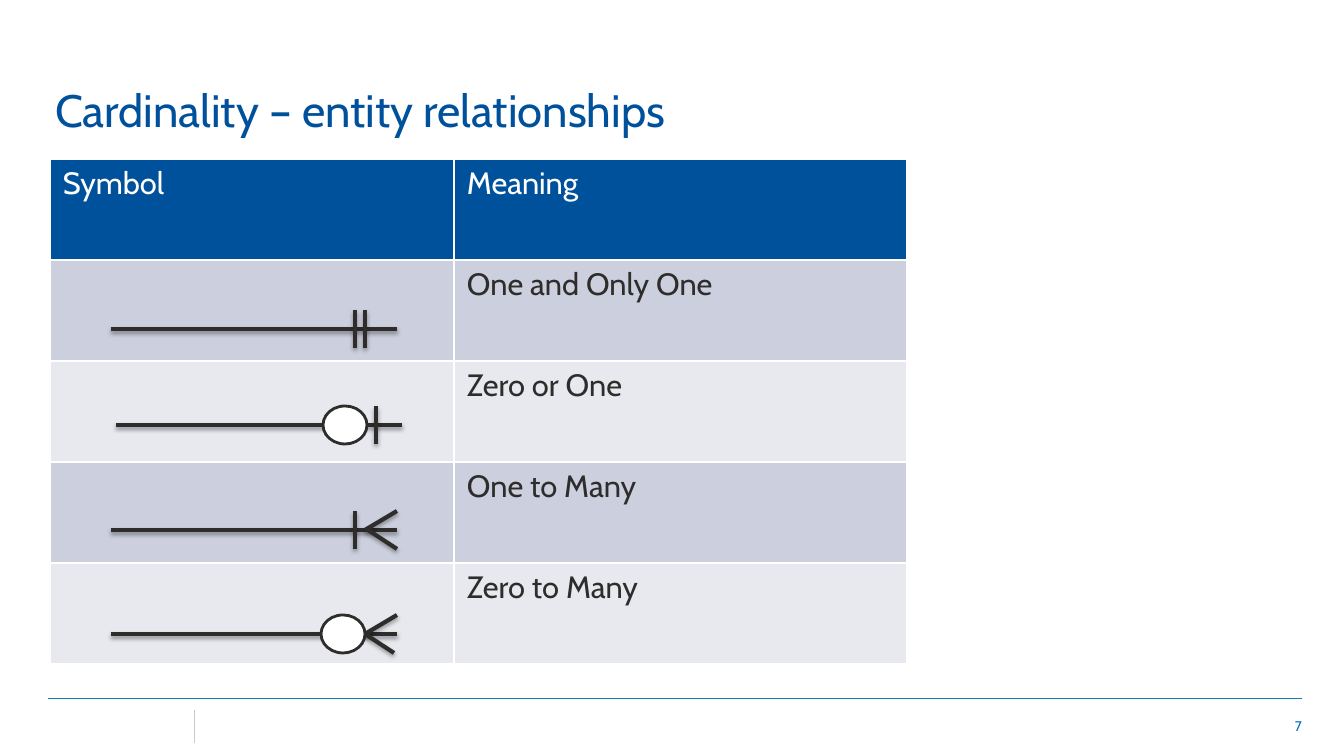
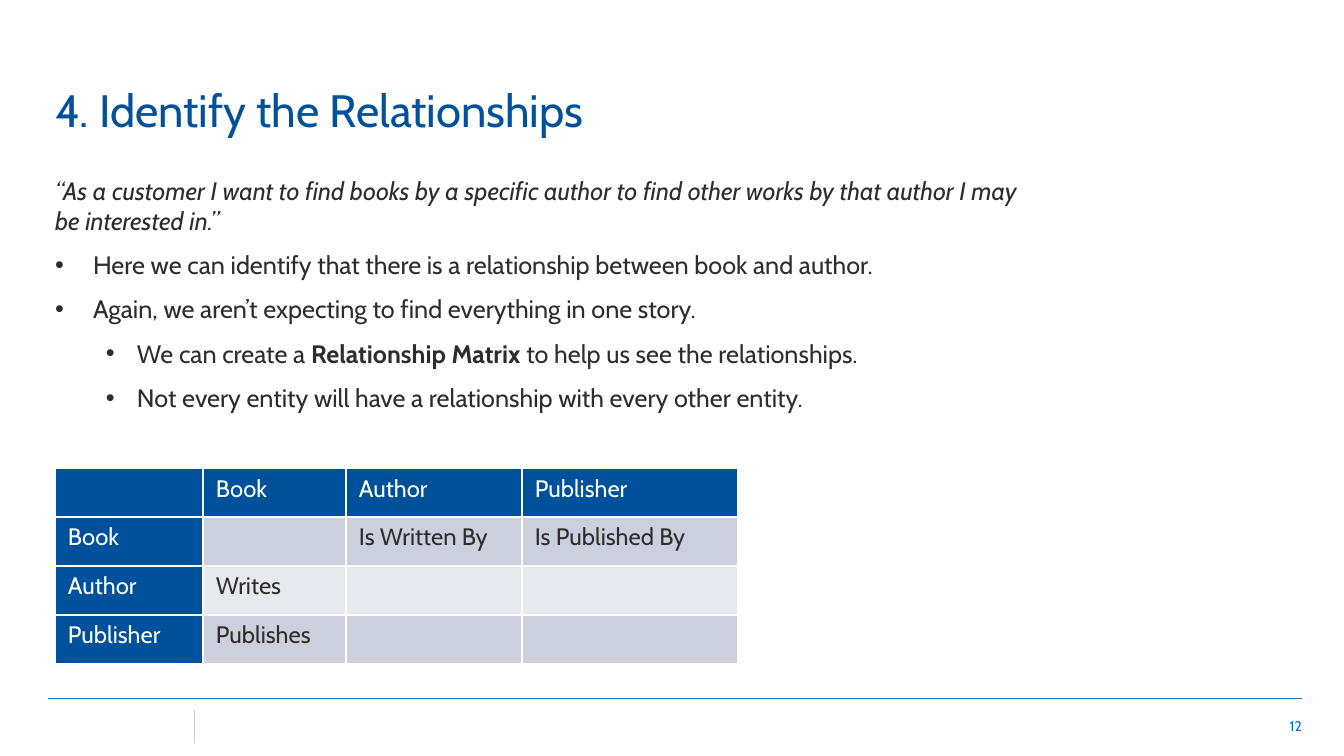
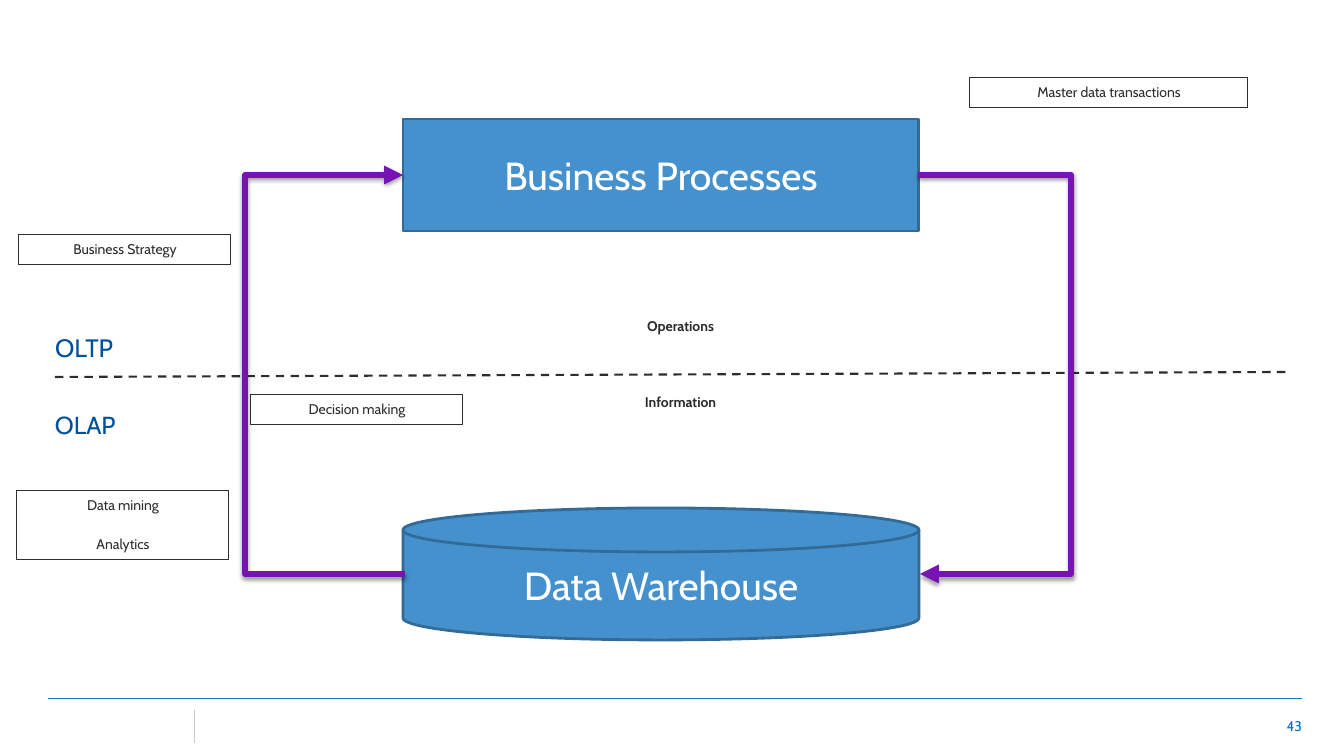
from lxml.etree import SubElement as Sub
from pptx import Presentation
from pptx.dml.color import RGBColor
from pptx.enum.dml import MSO_LINE as Dash
from pptx.enum.shapes import MSO_CONNECTOR as Link, MSO_SHAPE as Kind
from pptx.enum.text import MSO_ANCHOR as Anchor, MSO_AUTO_SIZE as Fit, PP_ALIGN as Align
from pptx.oxml.ns import qn
from pptx.util import Emu, Pt

FONT = "Cabin"
NAVY = RGBColor(0x00, 0x51, 0x9C)
BLUE = RGBColor(0x45, 0x91, 0xCE)
EDGE = RGBColor(0x33, 0x6B, 0x98)
RULE = RGBColor(0x1C, 0x78, 0xB0)
PAGE = RGBColor(0x00, 0x70, 0xC0)
GREY = RGBColor(0xCC, 0xCA, 0xC9)
INK = RGBColor(0x2E, 0x2D, 0x2C)
WHITE = RGBColor(0xFF, 0xFF, 0xFF)
BAND = RGBColor(0xCC, 0xD0, 0xDE)
PALE = RGBColor(0xE7, 0xE9, 0xEF)
PURPLE = RGBColor(0x77, 0x13, 0xB2)

TITLE = (45, 72, 1006, 70)
WIDE = (10, 5)
CELL = (13, 6)


def px(n):
    return Emu(round(n * 914400 / 100.8))


def place(shape, box):
    shape.left, shape.top, shape.width, shape.height = map(px, box)


def style(par, size, color, bold=False, align=Align.LEFT):
    par.alignment = align
    font = par.font
    font.name, font.size, font.bold = FONT, Pt(size), bold
    font.color.rgb = color


def setup(frame, inset=CELL, anchor=Anchor.TOP):
    frame.word_wrap = True
    frame.auto_size = Fit.NONE
    frame.vertical_anchor = anchor
    frame.margin_left = frame.margin_right = px(inset[0])
    frame.margin_top = frame.margin_bottom = px(inset[1])


def write(shape, text, size, color, bold=False, align=Align.LEFT,
          inset=CELL, anchor=Anchor.TOP, after=0):
    frame = shape.text_frame
    setup(frame, inset, anchor)
    frame.text = text
    for par in frame.paragraphs:
        style(par, size, color, bold, align)
        par.space_after = Pt(after)


def label(slide, box, text, size, color, **look):
    write(slide.shapes.add_textbox(*map(px, box)), text, size, color, **look)


def shade(prop, alpha):
    fx = Sub(prop, qn("a:effectLst"))
    if alpha:
        drop = Sub(fx, qn("a:outerShdw"), blurRad=str(Pt(3.1)), dist=str(Pt(1.8)),
                   dir="5400000", rotWithShape="0")
        tone = Sub(drop, qn("a:srgbClr"), val="000000")
        Sub(tone, qn("a:alpha"), val=str(alpha * 1000))


def draw(slide, ends, color, width, alpha=0, kind=Link.STRAIGHT, dash=None):
    line = slide.shapes.add_connector(kind, *map(px, ends))
    line.line.color.rgb = color
    line.line.width = Pt(width)
    if dash:
        line.line.dash_style = dash
    shade(line._element.spPr, alpha)
    return line


def shape(slide, kind, box, fill, edge, width):
    item = slide.shapes.add_shape(kind, *map(px, box))
    item.shadow.inherit = False
    if fill is None:
        item.fill.background()
    else:
        item.fill.solid()
        item.fill.fore_color.rgb = fill
    item.line.color.rgb = edge
    item.line.width = Pt(width)
    return item


def start(deck, layout, title, page, box=TITLE, size=32.4):
    slide = deck.slides.add_slide(deck.slide_layouts[layout])
    place(slide.shapes.title, box)
    write(slide.shapes.title, title, size, NAVY, inset=WIDE, anchor=Anchor.BOTTOM)
    draw(slide, (48, 698, 1302, 698), RULE, 0.25)
    draw(slide, (194, 710, 194, 743), GREY, 0.25)
    label(slide, (999, 706, 313, 40), page, 10, PAGE, align=Align.RIGHT,
          inset=WIDE, anchor=Anchor.MIDDLE)
    return slide


def border(cell):
    prop = cell._tc.get_or_add_tcPr()
    for side in ("a:lnL", "a:lnR", "a:lnT", "a:lnB"):
        line = Sub(prop, qn(side), w=str(Pt(1)))
        Sub(Sub(line, qn("a:solidFill")), qn("a:srgbClr"), val=str(WHITE))


def grid(slide, x, y, cols, high, rows, size, side=False):
    box = (x, y, sum(cols), high * len(rows))
    table = slide.shapes.add_table(len(rows), len(cols), *map(px, box)).table
    table.horz_banding = False
    for col, wide in zip(table.columns, cols):
        col.width = px(wide)
    for r, row in enumerate(rows):
        table.rows[r].height = px(high)
        for c, text in enumerate(row):
            cell = table.cell(r, c)
            head = r == 0 or (side and c == 0)
            border(cell)
            cell.fill.solid()
            cell.fill.fore_color.rgb = NAVY if head else BAND if r % 2 else PALE
            cell.margin_left = cell.margin_right = px(CELL[0])
            cell.margin_top = cell.margin_bottom = px(CELL[1])
            cell.text = text
            style(cell.text_frame.paragraphs[0], size, WHITE if head else INK)


def symbol(slide, x, y, bars=(), ring=None, feet=()):
    half = 19
    parts = [(0, 0, 286, 0)]
    parts += [(bar, -half, bar, half) for bar in bars]
    parts += [(a, 0, b, rise) for (a, b), rise in zip(feet, (-half, half))]
    for x1, y1, x2, y2 in parts:
        draw(slide, (x + x1, y + y1, x + x2, y + y2), INK, 3, 35)
    if ring is not None:
        shape(slide, Kind.OVAL, (x + ring, y - half, 44, 2 * half), WHITE, INK, 2)


def symbols(deck):
    slide = start(deck, 5, "Cardinality – entity relationships", "7")
    rows = [("Symbol", "Meaning"), ("", "One and Only One"), ("", "Zero or One"),
            ("", "One to Many"), ("", "Zero to Many")]
    grid(slide, 50, 159, (404, 453), 101, rows, 22)
    symbol(slide, 111, 329, bars=(244, 254))
    symbol(slide, 116, 425, bars=(260,), ring=207)
    symbol(slide, 111, 530, bars=(244,), feet=((254, 286), (257, 286)))
    symbol(slide, 111, 634, ring=210, feet=((254, 286), (254, 283)))


def bullet(par, left, hang, mark):
    prop = par._p.get_or_add_pPr()
    prop.set("marL", str(px(left)))
    prop.set("indent", str(px(-hang)))
    if mark:
        Sub(prop, qn("a:buChar"), char="•")
    else:
        Sub(prop, qn("a:buNone"))


def story(body, box, items):
    place(body, box)
    frame = body.text_frame
    setup(frame, WIDE)
    indents = {None: (0, 0), 0: (38, 38), 1: (82, 31)}
    for n, (level, runs) in enumerate(items):
        par = frame.add_paragraph() if n else frame.paragraphs[0]
        bullet(par, *indents[level], level is not None)
        par.level = level or 0
        par.space_before, par.space_after = Pt(2), Pt(8)
        style(par, 18, INK)
        par.font.italic = level is None
        for k, text in enumerate(runs):
            run = par.add_run()
            run.text = text
            if k % 2:
                run.font.bold = True


def matrix(deck):
    slide = start(deck, 1, "4. Identify the Relationships", "12")
    story(slide.placeholders[1], (45, 170, 1010, 501), [
        (None, ["“As a customer I want to find books by a specific author to find "
                "other works by that author I may be interested in.”"]),
        (0, ["Here we can identify that there is a relationship between book and author."]),
        (0, ["Again, we aren’t expecting to find everything in one story."]),
        (1, ["We can create a ", "Relationship Matrix", " to help us see the relationships."]),
        (1, ["Not every entity will have a relationship with every other entity."]),
    ])
    rows = [("", "Book", "Author", "Publisher"),
            ("Book", "", "Is Written By", "Is Published By"),
            ("Author", "Writes", "", ""),
            ("Publisher", "Publishes", "", "")]
    grid(slide, 55, 468, (148, 143, 176, 216), 49, rows, 17, side=True)


def block(slide, kind, box, text):
    item = shape(slide, kind, box, BLUE, EDGE, 2)
    write(item, text, 28, WHITE, align=Align.CENTER, anchor=Anchor.MIDDLE)


def elbow(slide, x, top, low, reach, turn=0):
    wide = 2
    line = draw(slide, (x, top, x + wide, low), PURPLE, 4.5, 38, Link.ELBOW)
    prop = line._element.spPr
    prop.find(qn("a:xfrm")).set("rot", str(turn * 60000))
    geom = prop.find(qn("a:prstGeom"))
    guides = geom.find(qn("a:avLst"))
    if guides is None:
        guides = Sub(geom, qn("a:avLst"))
    Sub(guides, qn("a:gd"), name="adj1", fmla=f"val {reach * 100000 // wide}")
    Sub(prop.find(qn("a:ln")), qn("a:tailEnd"), type="triangle")


def cycle(deck):
    slide = start(deck, 5, "OLTP", "43", (45, 298, 1006, 70), 18)
    draw(slide, (55, 377, 1288, 372), INK, 1.5, dash=Dash.DASH)
    block(slide, Kind.RECTANGLE, (403, 119, 516, 112), "Business Processes")
    block(slide, Kind.FLOWCHART_MAGNETIC_DISK, (403, 508, 516, 132), "Data Warehouse")
    elbow(slide, 918, 175, 574, 154)
    elbow(slide, 403, 175, 574, 161, 180)
    notes = [((970, 78, 278, 30), "Master data transactions"),
             ((17, 491, 212, 69), "Data mining\nAnalytics"),
             ((251, 395, 212, 30), "Decision making"),
             ((19, 235, 212, 30), "Business Strategy")]
    for box, text in notes:
        item = shape(slide, Kind.RECTANGLE, box, None, INK, 0.75)
        write(item, text, 10, INK, align=Align.CENTER, after=15.4)
    for y, text in ((312, "Operations"), (388, "Information")):
        label(slide, (484, y, 393, 30), text, 10, INK, bold=True, align=Align.CENTER)
    label(slide, (45, 374, 1006, 70), "OLAP", 17.6, NAVY, inset=WIDE, anchor=Anchor.BOTTOM)


def main():
    deck = Presentation()
    deck.slide_width, deck.slide_height = px(1344), px(756)
    symbols(deck)
    matrix(deck)
    cycle(deck)
    deck.save("out.pptx")


if __name__ == "__main__":
    main()
